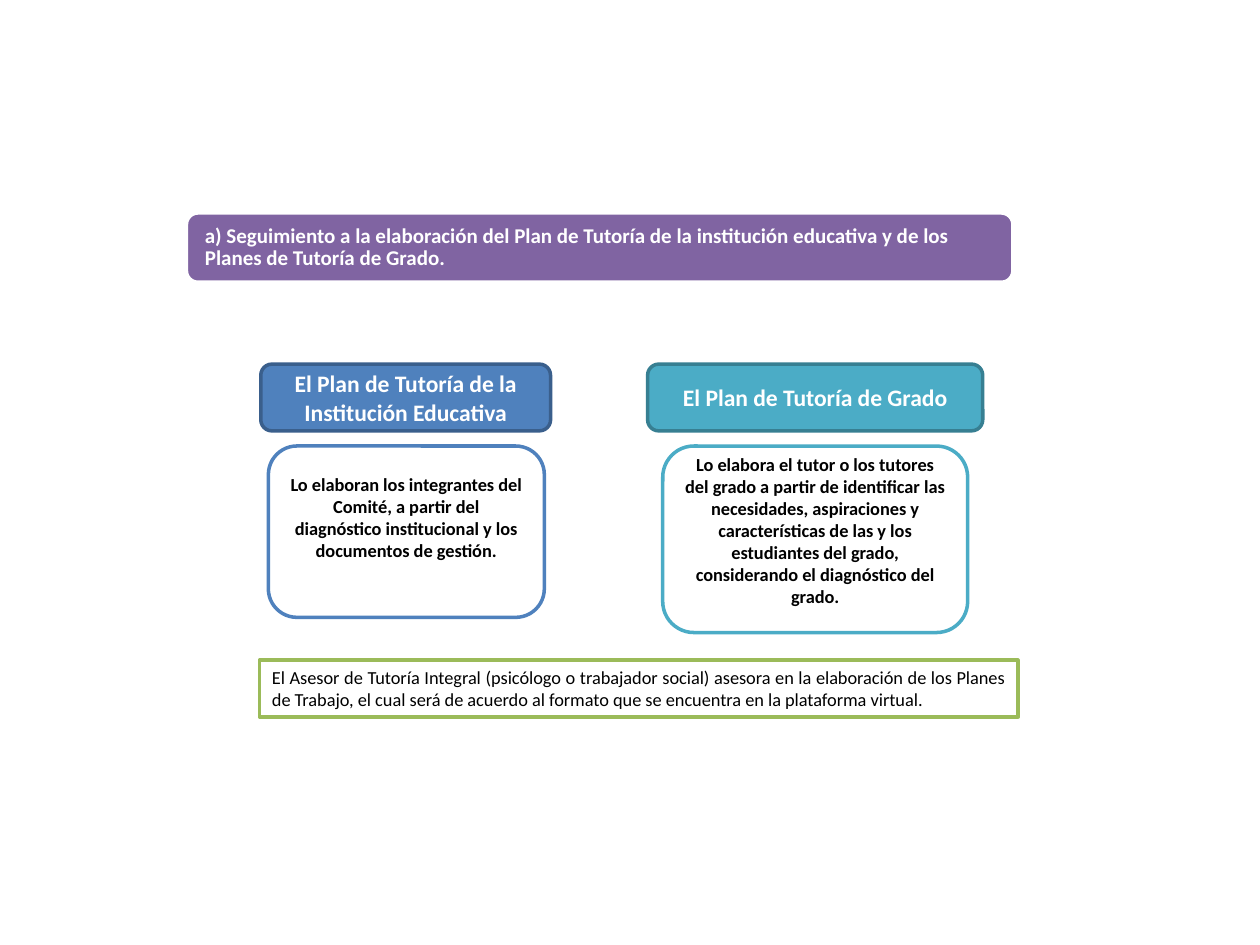
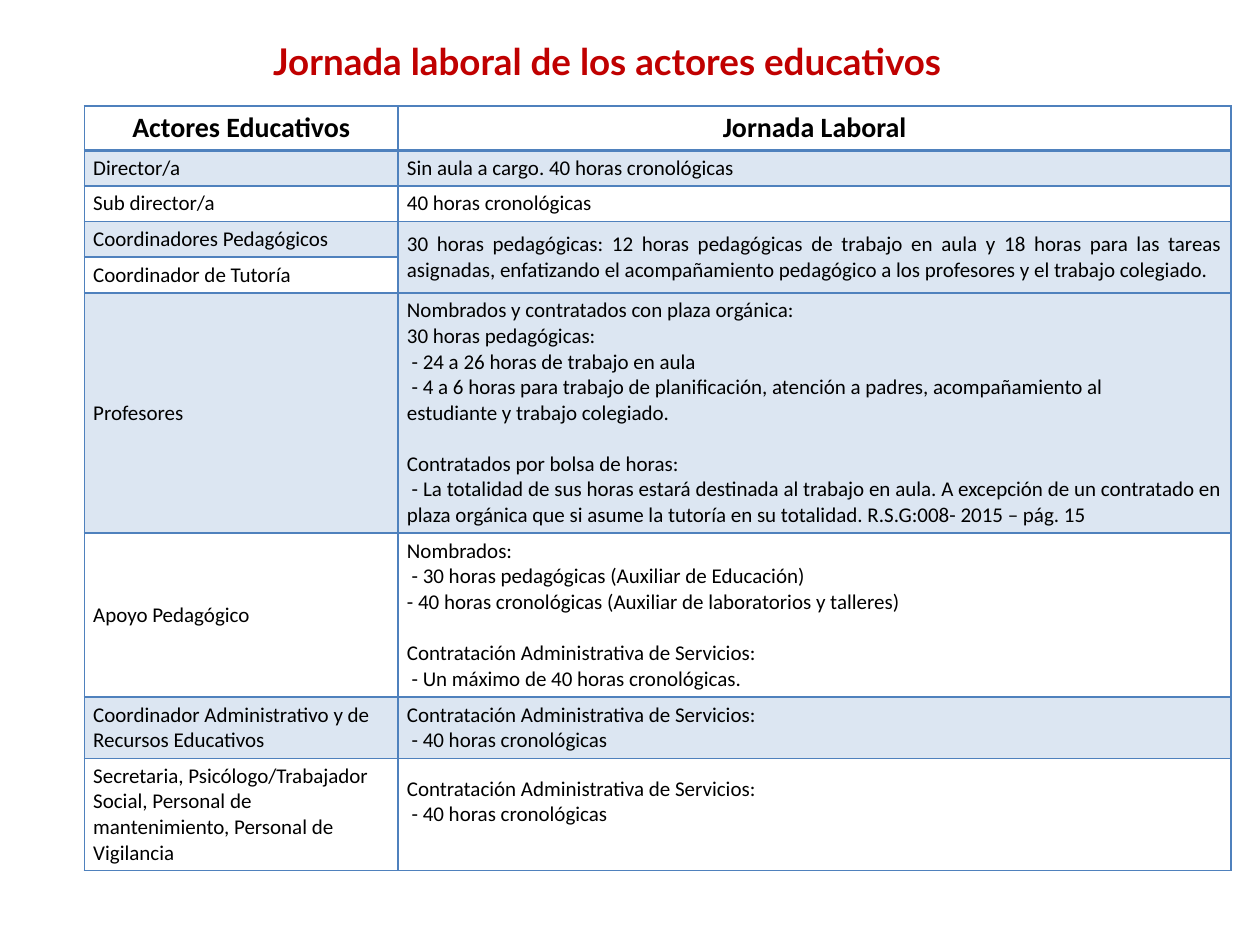
from dataclasses import dataclass

from lxml import etree
from pptx import Presentation
from pptx import util as u
from pptx.dml.color import RGBColor
from pptx.enum import shapes, text
from pptx.oxml.ns import qn

FONT, TITLE_FONT = "Calibri", "Lato"
BLACK, WHITE, RED = "000000", "FFFFFF", "C00000"
BLUE, TEAL, PURPLE, GREEN = "4F81BD", "4BACC6", "8064A2", "9BBB59"
BAND = "DCE6F2"
CENTER, LEFT, JUSTIFY = text.PP_ALIGN.CENTER, text.PP_ALIGN.LEFT, text.PP_ALIGN.JUSTIFY
TOP, MIDDLE = text.MSO_ANCHOR.TOP, text.MSO_ANCHOR.MIDDLE
ROUND, RECT = shapes.MSO_SHAPE.ROUNDED_RECTANGLE, shapes.MSO_SHAPE.RECTANGLE
LINE_GAP = u.Pt(14.6)


@dataclass
class Box:
    at: tuple[float, float, float, float]
    text: str
    fill: str
    line: str
    size: float
    color: str = BLACK
    bold: bool = True
    align: text.PP_ALIGN = CENTER
    anchor: text.MSO_ANCHOR = MIDDLE
    shape: shapes.MSO_SHAPE = ROUND
    side_inset: float = 0.1
    bottom_inset: float = 0.05
    spacing: float = 1.0


@dataclass
class Row:
    """One table row; each group of lines is set apart from the one before."""
    height: float
    actor: str
    hours: list[list[str]]
    bottom_inset: float = 0.04


SERVICES = "Contratación Administrativa de Servicios:"
FORTY_HOURS = [[SERVICES, " - 40 horas cronológicas"]]

BOXES = [
    Box((2.06, 5.24, 6.02, 0.45),
        "El Asesor de Tutoría Integral (psicólogo o trabajador social) asesora en la elaboración "
        "de los Planes de Trabajo, el cual será de acuerdo al formato que se encuentra en la "
        "plataforma virtual.",
        WHITE, GREEN, 10.5, bold=False, align=JUSTIFY, anchor=TOP, shape=RECT),
    Box((1.48, 1.69, 6.56, 0.55),
        "a) Seguimiento a la elaboración del Plan de Tutoría de la institución educativa y de los "
        "Planes de Tutoría de Grado.",
        PURPLE, WHITE, 12, WHITE, align=LEFT, side_inset=0.12, spacing=0.9),
    Box((2.07, 2.89, 2.3, 0.53), "El Plan de Tutoría de la Institución Educativa",
        BLUE, "3A5F8C", 13.5, WHITE),
    Box((5.14, 2.89, 2.66, 0.53), "El Plan de Tutoría de Grado",
        TEAL, "377F92", 13.5, WHITE),
    Box((2.13, 3.54, 2.19, 1.36),
        "Lo elaboran los integrantes del Comité, a partir del diagnóstico institucional y los "
        "documentos de gestión.",
        WHITE, BLUE, 10.5, bottom_inset=0.28),
    Box((5.26, 3.54, 2.42, 1.48),
        "Lo elabora el tutor o los tutores del grado a partir de identificar las necesidades, "
        "aspiraciones y características de las y los estudiantes del grado, considerando el "
        "diagnóstico del grado.",
        WHITE, TEAL, 10.5, bottom_inset=0.2),
]

HEADER = Row(0.35, "Actores Educativos", [["Jornada Laboral"]])
# A row without hours shares the cell above it.
ROWS = [
    Row(0.28, "Director/a", [["Sin aula a cargo. 40 horas cronológicas"]]),
    Row(0.28, "Sub director/a", [["40 horas cronológicas"]]),
    Row(0.28, "Coordinadores Pedagógicos", [[
        "30 horas pedagógicas: 12 horas pedagógicas de trabajo en aula y 18 horas para las tareas "
        "asignadas, enfatizando el acompañamiento pedagógico a los profesores y el trabajo "
        "colegiado."]]),
    Row(0.28, "Coordinador de Tutoría", []),
    Row(1.9, "Profesores", [
        ["Nombrados y contratados con plaza orgánica:",
         "30 horas pedagógicas:",
         " - 24 a 26 horas de trabajo en aula",
         " - 4 a 6 horas para trabajo de planificación, atención a padres, acompañamiento al",
         "estudiante y trabajo colegiado."],
        ["Contratados por bolsa de horas:",
         " - La totalidad de sus horas estará destinada al trabajo en aula. A excepción de un "
         "contratado en plaza orgánica que si asume la tutoría en su totalidad. "
         "R.S.G:008- 2015 – pág. 15"]]),
    Row(1.3, "Apoyo Pedagógico", [
        ["Nombrados:",
         " - 30 horas pedagógicas (Auxiliar de Educación)",
         "- 40 horas cronológicas (Auxiliar de laboratorios y talleres)"],
        [SERVICES, " - Un máximo de 40 horas cronológicas."]]),
    Row(0.48, "Coordinador Administrativo y de Recursos Educativos", FORTY_HOURS),
    Row(0.89, "Secretaria, Psicólogo/Trabajador Social, Personal de mantenimiento, "
        "Personal de Vigilancia", FORTY_HOURS, bottom_inset=0.24),
]


def rgb(color: str) -> RGBColor:
    return RGBColor.from_string(color)


def style_text(tf, size: float, color: str, bold: bool, align, font: str = FONT) -> None:
    for p in tf.paragraphs:
        p.alignment = align
        for r in p.runs:
            r.font.name, r.font.size, r.font.bold = font, u.Pt(size), bold
            r.font.color.rgb = rgb(color)


def add_box(slide, box: Box) -> None:
    sp = slide.shapes.add_shape(box.shape, *map(u.Inches, box.at))
    sp.shadow.inherit = False
    sp.fill.solid()
    sp.fill.fore_color.rgb = rgb(box.fill)
    sp.line.color.rgb = rgb(box.line)
    sp.line.width = u.Pt(2)
    tf = sp.text_frame
    tf.word_wrap = True
    tf.vertical_anchor = box.anchor
    tf.margin_left = tf.margin_right = u.Inches(box.side_inset)
    tf.margin_top, tf.margin_bottom = u.Inches(0.05), u.Inches(box.bottom_inset)
    tf.text = box.text
    tf.paragraphs[0].line_spacing = box.spacing
    style_text(tf, box.size, box.color, box.bold, box.align)


def set_borders(cell, bottom: float, top: float) -> None:
    """Draw blue borders, one point wide at the sides."""
    tc_pr = cell._tc.get_or_add_tcPr()
    widths = {"a:lnL": 1, "a:lnR": 1, "a:lnT": top, "a:lnB": bottom}
    for i, (tag, width) in enumerate(widths.items()):
        ln = etree.Element(qn(tag), w=str(u.Pt(width)))
        fill = etree.SubElement(ln, qn("a:solidFill"))
        etree.SubElement(fill, qn("a:srgbClr"), val=BLUE)
        tc_pr.insert(i, ln)


def fill_cell(cell, groups: list[list[str]], fill: str, bottom_inset: float) -> None:
    cell.fill.solid()
    cell.fill.fore_color.rgb = rgb(fill)
    cell.margin_left = cell.margin_right = u.Inches(0.07)
    cell.margin_top, cell.margin_bottom = u.Inches(0.04), u.Inches(bottom_inset)
    tf = cell.text_frame
    tf.text = "\n".join(line for group in groups for line in group)
    start = 0
    for group in groups[:-1]:
        start += len(group)
        tf.paragraphs[start].space_before = LINE_GAP


def add_schedule(slide) -> None:
    rows = [HEADER, *ROWS]
    frame = slide.shapes.add_table(len(rows), 2, u.Inches(0.67), u.Inches(0.84), u.Inches(9.1),
                                   u.Inches(sum(row.height for row in rows)))
    table = frame.table
    table.first_row = table.horz_banding = False
    for column, width in zip(table.columns, (2.49, 6.61)):
        column.width = u.Inches(width)
    for i, row in enumerate(rows):
        table.rows[i].height = u.Inches(row.height)
        head = i == 0
        for j, groups in enumerate(([[row.actor]], row.hours)):
            cell = table.cell(i, j)
            fill_cell(cell, groups, BAND if i % 2 else WHITE, row.bottom_inset if j else 0.04)
            cell.vertical_anchor = TOP if head else MIDDLE
            align = CENTER if head else (LEFT, JUSTIFY)[j]
            style_text(cell.text_frame, 16 if head else 12, BLACK, head, align)
            set_borders(cell, bottom=2 if head else 1, top=2 if i == 1 else 1)
        if not row.hours:
            table.cell(i - 1, 1).merge(table.cell(i, 1))


def add_title(slide, title: str) -> None:
    sp = slide.shapes.title
    sp.left, sp.top, sp.width, sp.height = map(u.Inches, (0.51, 0.21, 8.62, 0.55))
    tf = sp.text_frame
    tf.text = title
    tf.vertical_anchor = MIDDLE
    style_text(tf, 21, RED, True, CENTER, TITLE_FONT)


def main() -> None:
    prs = Presentation()
    prs.slide_width, prs.slide_height = u.Inches(10), u.Inches(7.5)
    title_only, blank = prs.slide_layouts[5], prs.slide_layouts[6]

    plans = prs.slides.add_slide(blank)
    for box in BOXES:
        add_box(plans, box)

    schedule = prs.slides.add_slide(title_only)
    add_title(schedule, "Jornada laboral de los actores educativos")
    add_schedule(schedule)

    prs.save("out.pptx")


if __name__ == "__main__":
    main()
